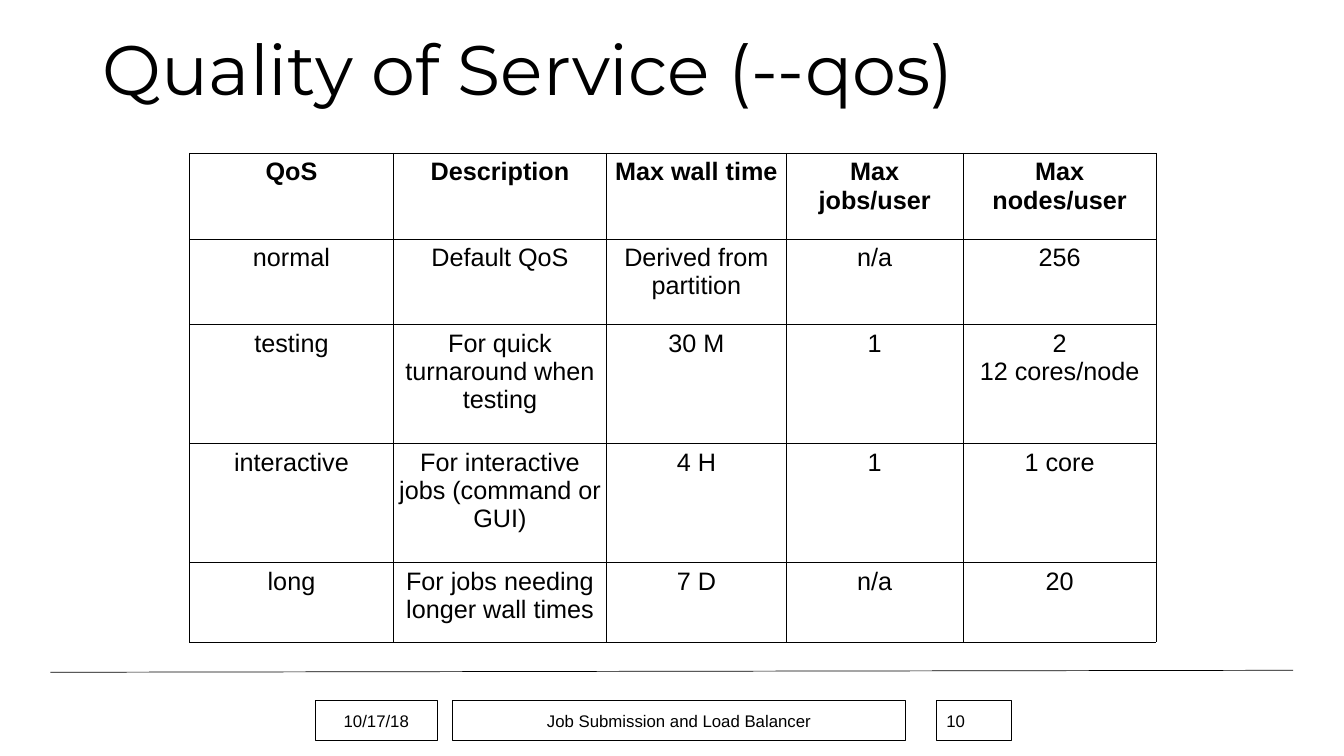
from dataclasses import dataclass

from lxml import etree
from pptx import Presentation
from pptx.dml.color import RGBColor
from pptx.enum.shapes import MSO_CONNECTOR, MSO_SHAPE
from pptx.enum.text import MSO_ANCHOR, MSO_AUTO_SIZE, PP_ALIGN
from pptx.oxml.ns import qn
from pptx.util import Cm, Pt

LEFT, CENTER = PP_ALIGN.LEFT, PP_ALIGN.CENTER
MIDDLE, TOP = MSO_ANCHOR.MIDDLE, MSO_ANCHOR.TOP
NO_AUTOFIT = MSO_AUTO_SIZE.NONE
RECTANGLE = MSO_SHAPE.RECTANGLE
STRAIGHT = MSO_CONNECTOR.STRAIGHT
TITLE_ONLY = 5


@dataclass(frozen=True)
class Theme:
    ink: str = "000000"
    paper: str = "FFFFFF"
    title_font: str = "Montserrat"
    body_font: str = "Arial"
    title_size: float = 50
    table_size: float = 18
    footer_size: float = 12
    rule_width: float = 0.5
    box_width: float = 0.75


THEME = Theme()
INK = RGBColor.from_string(THEME.ink)
COLUMN_WIDTHS = [5.13, 5.38, 4.52, 4.47, 4.85]
ROW_HEIGHTS = [2.16, 2.16, 3, 3, 2]
QOS_ROWS = [
    ["QoS", "Description", "Max wall time", "Max jobs/user", "Max nodes/user"],
    ["normal", "Default QoS", "Derived from partition", "n/a", "256"],
    ["testing", "For quick turnaround when testing", "30 M", "1", "2\n12 cores/node"],
    ["interactive", "For interactive jobs (command or GUI)", "4 H", "1", "1 core"],
    ["long", "For jobs needing longer wall times", "7 D", "n/a", "20"],
]
FOOTER_BOXES = [
    (0, 3.07, "10/17/18", CENTER),
    (3.45, 11.43, "Job Submission and Load Balancer", CENTER),
    (15.65, 1.9, "10", LEFT),
]


def add_text(text_frame, text, font_name, size, alignment, bold=False):
    for index, line in enumerate(text.split("\n")):
        paragraph = text_frame.paragraphs[0] if index == 0 else text_frame.add_paragraph()
        paragraph.alignment = alignment
        run = paragraph.add_run()
        run.text = line
        run.font.name = font_name
        run.font.size = Pt(size)
        run.font.bold = bold
        run.font.color.rgb = INK


def add_cell_borders(cell):
    properties = cell._tc.get_or_add_tcPr()
    for side in ("lnL", "lnR", "lnT", "lnB"):
        border = etree.SubElement(properties, qn(f"a:{side}"), w=str(Pt(THEME.rule_width)))
        fill = etree.SubElement(border, qn("a:solidFill"))
        etree.SubElement(fill, qn("a:srgbClr"), val=THEME.ink)


def add_title(slide, left, top, width, height):
    title = slide.shapes.title
    title.left, title.top, title.width, title.height = Cm(left), Cm(top), Cm(width), Cm(height)
    text_frame = title.text_frame
    text_frame.word_wrap = True
    text_frame.auto_size = NO_AUTOFIT
    text_frame.vertical_anchor = MIDDLE
    add_text(text_frame, "Quality of Service (--qos)", THEME.title_font, THEME.title_size, LEFT)
    text_frame.paragraphs[0].line_spacing = 0.9


def add_qos_table(slide, left, top):
    frame = slide.shapes.add_table(
        len(QOS_ROWS), len(COLUMN_WIDTHS), Cm(left), Cm(top),
        Cm(sum(COLUMN_WIDTHS)), Cm(sum(ROW_HEIGHTS)))
    table = frame.table
    table.first_row = True
    table.horz_banding = False
    for column, width in zip(table.columns, COLUMN_WIDTHS):
        column.width = Cm(width)
    for row, height, texts in zip(table.rows, ROW_HEIGHTS, QOS_ROWS):
        row.height = Cm(height)
        for cell, text in zip(row.cells, texts):
            cell.margin_left = cell.margin_right = cell.margin_top = cell.margin_bottom = Cm(0.12)
            cell.vertical_anchor = TOP
            add_cell_borders(cell)
            cell.fill.background()
            add_text(cell.text_frame, text, THEME.body_font, THEME.table_size, CENTER,
                     bold=texts is QOS_ROWS[0])


def add_footer_rule(slide, left, top, width, rise):
    rule = slide.shapes.add_connector(
        STRAIGHT, Cm(left), Cm(top), Cm(left + width), Cm(top - rise))
    rule.line.color.rgb = INK
    rule.line.width = Pt(THEME.rule_width)
    etree.SubElement(rule._element.spPr, qn("a:effectLst"))


def add_footer(slide, left, top, height):
    for offset, width, text, alignment in FOOTER_BOXES:
        box = slide.shapes.add_shape(
            RECTANGLE, Cm(left + offset), Cm(top), Cm(width), Cm(height))
        box.shadow.inherit = False
        box.fill.background()
        box.line.color.rgb = INK
        box.line.width = Pt(THEME.box_width)
        box.text_frame.word_wrap = True
        box.text_frame.vertical_anchor = MIDDLE
        add_text(box.text_frame, text, THEME.body_font, THEME.footer_size, alignment)


def add_qos_slide(presentation):
    slide = presentation.slides.add_slide(presentation.slide_layouts[TITLE_ONLY])
    background = slide.background.fill
    background.solid()
    background.fore_color.rgb = RGBColor.from_string(THEME.paper)
    add_footer_rule(slide, 1.27, 16.94, 31.32, 0.05)
    add_title(slide, 2.34, 0, 29.21, 3.68)
    add_qos_table(slide, 4.78, 3.86)
    add_footer(slide, 7.95, 17.65, 1.02)


def main():
    presentation = Presentation()
    presentation.slide_width = Cm(33.87)
    presentation.slide_height = Cm(19.05)
    add_qos_slide(presentation)
    presentation.save("out.pptx")


if __name__ == "__main__":
    main()
